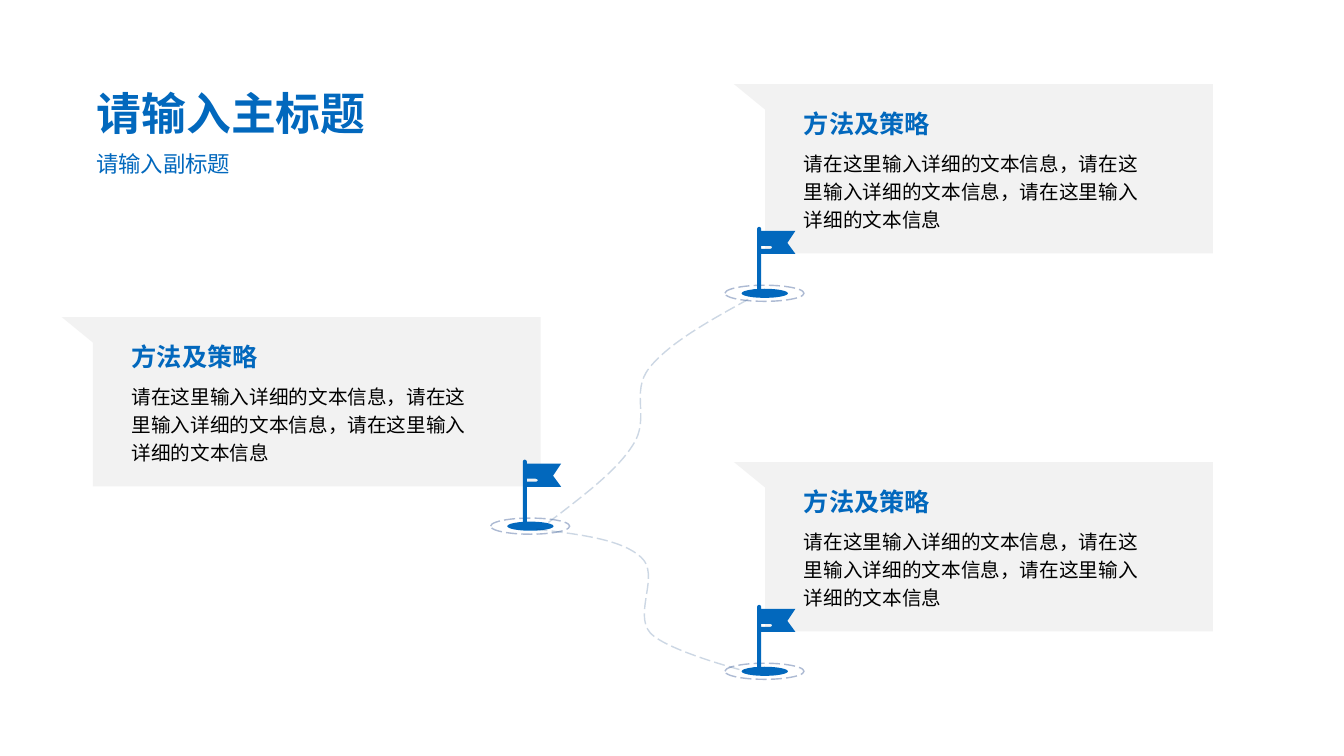
from lxml import etree
from pptx import Presentation
from pptx.dml.color import RGBColor
from pptx.enum.dml import MSO_LINE
from pptx.enum.shapes import MSO_SHAPE
from pptx.enum.text import MSO_AUTO_SIZE
from pptx.oxml.ns import qn
from pptx.util import Inches, Pt

RECTANGLE, OVAL = MSO_SHAPE.RECTANGLE, MSO_SHAPE.OVAL
RIGHT_TRIANGLE = MSO_SHAPE.RIGHT_TRIANGLE
LONG_DASH = MSO_LINE.LONG_DASH
GROW = MSO_AUTO_SIZE.SHAPE_TO_FIT_TEXT

BLUE = RGBColor(0x02, 0x68, 0xBD)
RING_BLUE = RGBColor(0x32, 0x54, 0x91)
ROUTE_BLUE = RGBColor(0x00, 0x3A, 0x7A)
PANEL_GREY = RGBColor(0xF2, 0xF2, 0xF2)
BLACK = RGBColor(0, 0, 0)

HEADING_FONT, BODY_FONT = "Arial", "Noto Sans CJK SC"
HEADING = "方法及策略"
BODY = "，".join(["请在这里输入详细的文本信息"] * 3)

# All lengths are in columns and rows of a grid with square cells.
CELL = Inches(0.1)

CARDS = [(75.9, 8.35), (9.22, 31.45), (75.9, 45.84)]
PINS = [(75.8, 29.1), (52.56, 52.2), (75.8, 66.6)]

# A path is a start point, then lines (x, y) and curves (x1, y1, x2, y2, x, y).
FLAG = [
    (3.1, -3.9), (2.3, -5), (3.1, -6.2), (-0.3, -6.2), (-0.3, -6.4),
    (-0.3, -6.5, -0.4, -6.6, -0.5, -6.6), (-0.6, -6.6, -0.7, -6.5, -0.7, -6.4),
    (-0.7, -0.4), (-1, -0.4),
    (-1.1, -0.4, -1.2, -0.3, -1.2, -0.2), (-1.2, -0.1, -1.1, 0, -1, 0),
    (-0.1, 0),
    (0, 0, 0.1, -0.1, 0.1, -0.2), (0.1, -0.3, 0, -0.4, -0.1, -0.4),
    (-0.3, -0.4), (-0.3, -3.9), (3.1, -3.9),
]
FLAG_SLOT = [
    (-0.3, -4.7), (0.6, -4.7), (0.7, -4.7, 0.8, -4.6, 0.8, -4.55),
    (0.8, -4.5, 0.7, -4.4, 0.6, -4.4), (-0.3, -4.4), (-0.3, -4.7),
]
ROUTES = [
    [(74.2, 29.7), (70.2, 31.9, 66.3, 34.1, 64.4, 36.5),
     (62.5, 38.9, 64.5, 41.5, 62.8, 44.1), (61.2, 46.7, 57.7, 49.3, 54.3, 51.9)],
    [(53.2, 52.5), (57.4, 53, 61.7, 53.5, 63.6, 55.3),
     (65.5, 57, 62.8, 60.9, 64.5, 62.8), (66.2, 64.6, 74, 66.6, 74, 66.6)],
]


def cells(*lengths):
    return [round(length * CELL) for length in lengths]


def paint(shape, fill=None, line=None, opacity=100):
    """Give a shape a flat fill, a dashed outline, or neither."""
    shape.shadow.inherit = False
    if fill is None:
        shape.fill.background()
    else:
        shape.fill.solid()
        shape.fill.fore_color.rgb = fill
    if line is None:
        shape.line.fill.background()
        return
    shape.line.color.rgb = line
    shape.line.width = Pt(1)
    shape.line.dash_style = LONG_DASH
    color = shape._element.spPr.find(qn("a:ln")).find(".//" + qn("a:srgbClr"))
    etree.SubElement(color, qn("a:alpha"), val=str(opacity * 1000))


def add_preset(page, kind, left, top, width, height, **style):
    shape = page.shapes.add_shape(kind, *cells(left, top, width, height))
    paint(shape, **style)
    return shape


def bend(shape, steps):
    """Join the three line segments of each curve step into one Bezier curve."""
    segments = iter(list(shape._element.iter(qn("a:lnTo"))))
    for step in steps:
        first, *others = [next(segments) for _ in range(len(step) // 2)]
        if others:
            first.tag = qn("a:cubicBezTo")
            for segment in others:
                first.append(segment[0])
                segment.getparent().remove(segment)


def add_outline(page, paths, origin=(0, 0), closed=False, **style):
    builder = None
    for path in paths:
        points = [cells(step[i] + origin[0], step[i + 1] + origin[1])
                  for step in path for i in range(0, len(step), 2)]
        if builder is None:
            builder = page.shapes.build_freeform(*points[0])
        else:
            builder.move_to(*points[0])
        builder.add_line_segments(points[1:], close=closed)
    shape = builder.convert_to_shape()
    bend(shape, [step for path in paths for step in path[1:]])
    paint(shape, **style)


def add_text(page, text, left, top, width, height, *, size, font=HEADING_FONT,
             color=BLUE, bold=False, wrap=False, spacing=None):
    box = page.shapes.add_textbox(*cells(left, top, width, height))
    frame = box.text_frame
    frame.word_wrap = wrap
    frame.auto_size = GROW
    para = frame.paragraphs[0]
    para.line_spacing = spacing
    span = para.add_run()
    span.text = text
    span.font.name = font
    span.font.size = Pt(size)
    span.font.bold = bold
    span.font.color.rgb = color


def add_card(page, left, top):
    tail = add_preset(page, RIGHT_TRIANGLE, left - 2.7, top - 0.4, 3.6, 4.4, fill=PANEL_GREY)
    tail.rotation = 90
    tail._element.spPr.xfrm.set("flipV", "1")
    add_preset(page, RECTANGLE, left, top, 44.4, 16.8, fill=PANEL_GREY)
    add_text(page, HEADING, left + 2.85, top + 1.95, 14.6, 4, size=18, bold=True)
    add_text(page, BODY, left + 2.85, top + 5.75, 36.1, 9.3, size=14, font=BODY_FONT,
             color=BLACK, wrap=True, spacing=1.2)


def add_pin(page, x, y):
    """Plant a flag on a ringed base centred at x, y."""
    add_preset(page, OVAL, x - 3.9, y - 0.8, 7.84, 1.6, line=RING_BLUE, opacity=40)
    add_preset(page, OVAL, x - 2.25, y - 0.45, 4.6, 0.9, fill=BLUE)
    add_outline(page, [FLAG, FLAG_SLOT], origin=(x, y), closed=True, fill=BLUE)


def main():
    deck = Presentation()
    deck.slide_width, deck.slide_height = Inches(13.33), Inches(7.5)
    page = deck.slides.add_slide(deck.slide_layouts[6])
    add_text(page, "请输入主标题", 8.6, 8, 28.9, 6.4, size=32, bold=True)
    add_text(page, "请输入副标题", 8.56, 14.4, 15.5, 3.7, size=16)
    for card in CARDS:
        add_card(page, *card)
    for pin in PINS:
        add_pin(page, *pin)
    for route in ROUTES:
        add_outline(page, [route], line=ROUTE_BLUE, opacity=20)
    deck.save("out.pptx")


if __name__ == "__main__":
    main()
